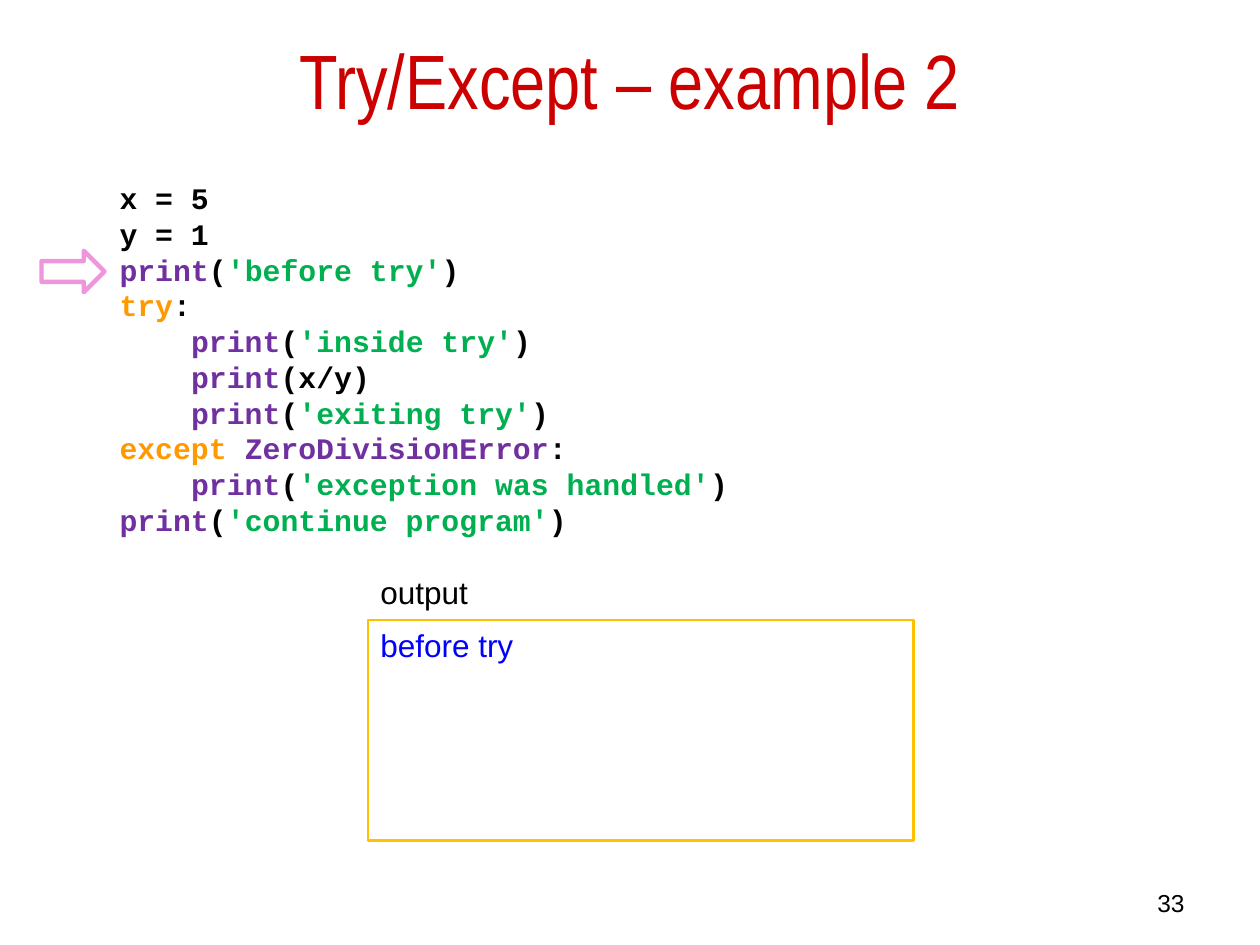
from pptx import Presentation
from pptx import util as u
from pptx.dml.color import RGBColor
from pptx.enum import shapes, text

COLORS = {
    "title": "CC0000",
    "plain": "000000",
    "name": "7030A0",
    "string": "00B050",
    "keyword": "FF9900",
    "arrow": "EE96DB",
    "frame": "FFC000",
    "output": "0000FF",
}


def print_line(string, indent=""):
    return [("plain", indent), ("name", "print"), ("plain", "("),
            ("string", f"'{string}'"), ("plain", ")")]


INDENT = "    "
CODE = [
    [("plain", "x = 5")],
    [("plain", "y = 1")],
    print_line("before try"),
    [("keyword", "try"), ("plain", ":")],
    print_line("inside try", INDENT),
    [("plain", INDENT), ("name", "print"), ("plain", "(x/y)")],
    print_line("exiting try", INDENT),
    [("keyword", "except "), ("name", "ZeroDivisionError"), ("plain", ":")],
    print_line("exception was handled", INDENT),
    print_line("continue program"),
]


def inches(box):
    return [u.Inches(length) for length in box]


def style(span, size, color, font="Arial", bold=False):
    span.font.size = u.Pt(size)
    span.font.name = font
    span.font.bold = bold
    span.font.color.rgb = RGBColor.from_string(COLORS[color])


def add_label(page, box, wording, size, color, font="Arial",
              align=text.PP_ALIGN.LEFT, anchor=text.MSO_ANCHOR.TOP):
    frame = page.shapes.add_textbox(*inches(box)).text_frame
    frame.word_wrap = True
    frame.vertical_anchor = anchor
    frame.text = wording
    para = frame.paragraphs[0]
    para.alignment = align
    style(para.runs[0], size, color, font)


def add_outline(page, kind, box, color, width):
    shape = page.shapes.add_shape(kind, *inches(box))
    shape.shadow.inherit = False
    shape.fill.background()
    shape.line.color.rgb = RGBColor.from_string(COLORS[color])
    shape.line.width = u.Pt(width)
    return shape


def add_code(page, box):
    frame = page.shapes.add_textbox(*inches(box)).text_frame
    frame.word_wrap = False
    frame.auto_size = text.MSO_AUTO_SIZE.SHAPE_TO_FIT_TEXT
    for number, line in enumerate(CODE):
        para = frame.add_paragraph() if number else frame.paragraphs[0]
        for color, wording in line:
            if wording:
                span = para.add_run()
                span.text = wording
                style(span, 17, color, "Courier New", bold=True)


def add_output(page, box):
    left, top, width, height = box
    label_height = 0.42
    add_label(page, (left, top, 1.42, label_height), "output", 18, "plain")
    frame_box = (left, top + label_height, width, height - label_height)
    shape = add_outline(page, shapes.MSO_SHAPE.RECTANGLE, frame_box, "frame", 1.5)
    frame = shape.text_frame
    frame.word_wrap = True
    frame.vertical_anchor = text.MSO_ANCHOR.TOP
    frame.text = "before try"
    para = frame.paragraphs[0]
    para.alignment = text.PP_ALIGN.LEFT
    style(para.runs[0], 18, "output")


def main():
    deck = Presentation()
    deck.slide_width, deck.slide_height = u.Inches(10), u.Inches(7.5)
    page = deck.slides.add_slide(deck.slide_layouts[6])
    add_label(page, (0.5, 0, 9, 1.25), "Try/Except – example 2", 44, "title",
              "Arial Narrow", text.PP_ALIGN.CENTER, text.MSO_ANCHOR.MIDDLE)
    add_label(page, (7.17, 7, 2.33, 0.25), "33", 14, "plain",
              align=text.PP_ALIGN.RIGHT)
    add_outline(page, shapes.MSO_SHAPE.RIGHT_ARROW, (0.33, 1.99, 0.5, 0.33),
                "arrow", 2.5)
    add_output(page, (2.92, 4.5, 4.33, 2.17))
    add_code(page, (0.85, 1.38, 5.09, 2.96))
    deck.save("out.pptx")


if __name__ == "__main__":
    main()
